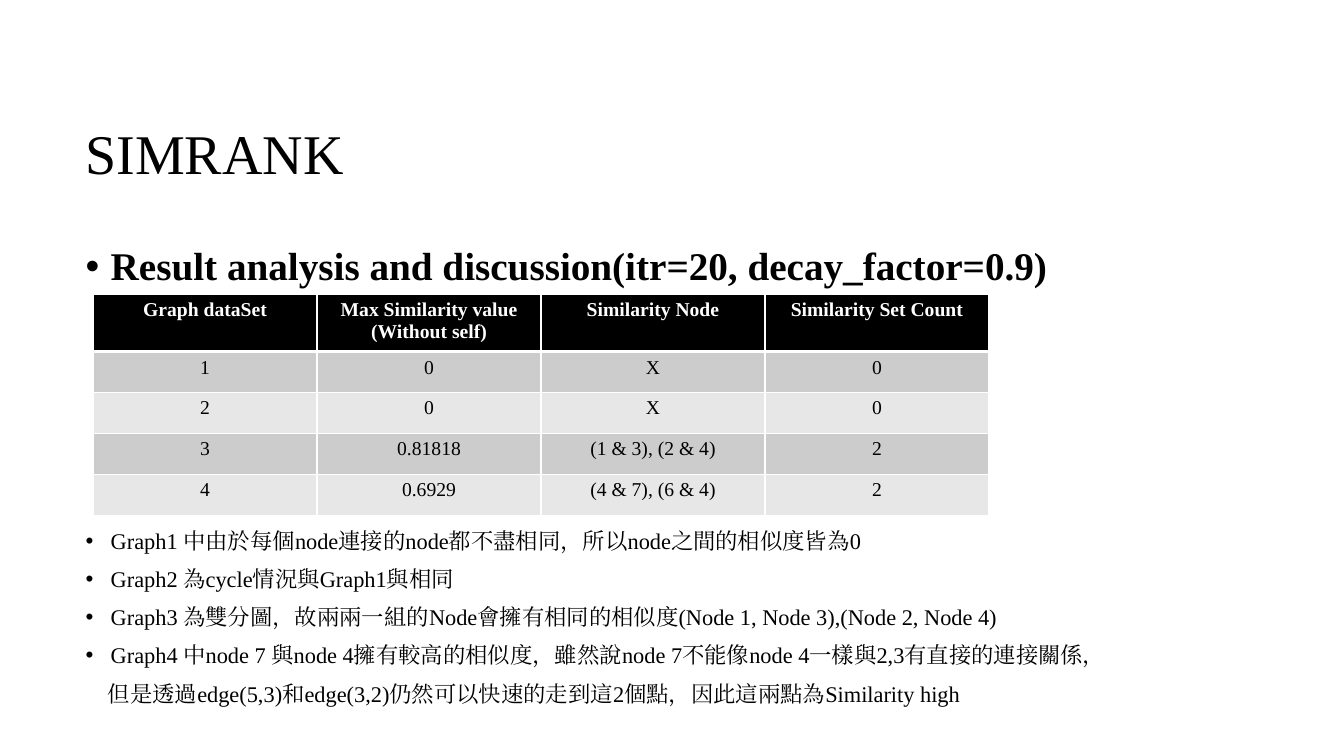
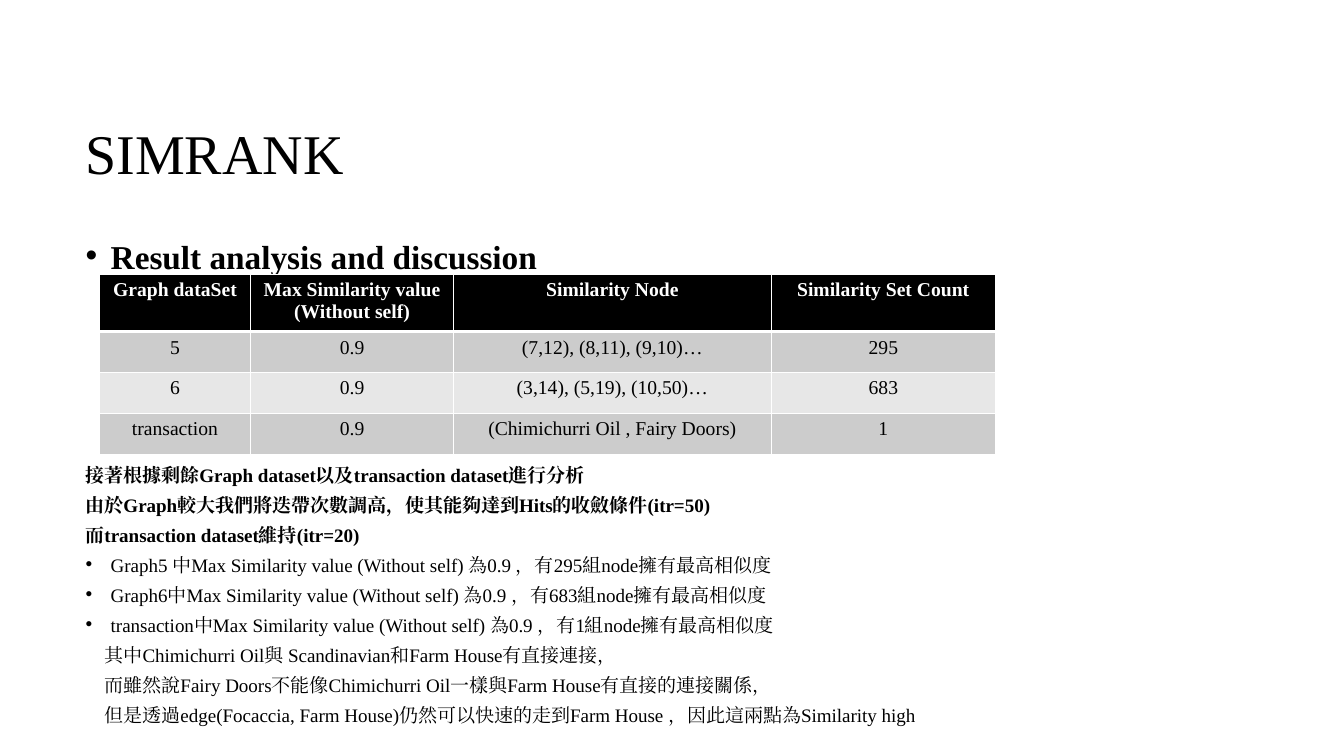
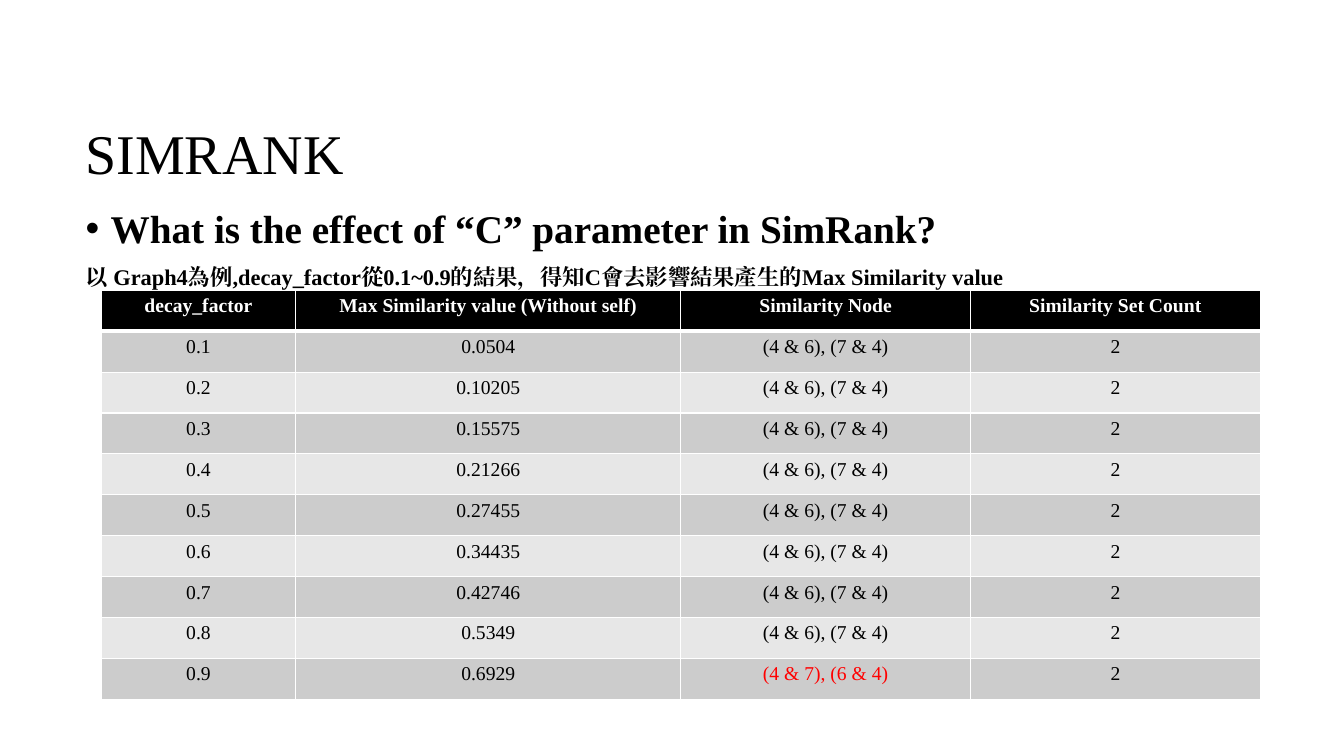
from lxml import etree
from pptx import Presentation
from pptx.dml.color import RGBColor
from pptx.enum.text import MSO_ANCHOR, PP_ALIGN
from pptx.oxml.ns import qn
from pptx.util import Pt

MIDDLE, CENTER = MSO_ANCHOR.MIDDLE, PP_ALIGN.CENTER
FONT = "Times New Roman"
BLACK, WHITE, RED = "000000", "FFFFFF", "FF0000"
BANDS = ("CCCCCC", "E7E7E7")
LEFT, WIDTH = 54, 852
TITLE_BOX = (LEFT, 61.2, WIDTH, 101.5)
ROW_H, HANG, SPACE = 29.2, 18, 10
MAX_LABEL = "Max Similarity value (Without self)"
HEADERS = ("Graph dataSet", MAX_LABEL, "Similarity Node", "Similarity Set Count")
PAIRS = "(4 & 6), (7 & 4)"
C_VALUES = ("0.0504", "0.10205", "0.15575", "0.21266", "0.27455",
            "0.34435", "0.42746", "0.5349")

SLIDES = [
    {
        "body": (LEFT, 172.8, WIDTH, 346.3), "spacing": 0.9, "gap": 172,
        "heading": ("Result analysis and discussion(itr=20, decay_factor=0.9)", 28),
        "size": 16,
        "notes": [
            ("bullet", "Graph1 中由於每個node連接的node都不盡相同，所以node之間的相似度皆為0"),
            ("bullet", "Graph2 為cycle情況與Graph1與相同"),
            ("bullet", "Graph3 為雙分圖，故兩兩一組的Node會擁有相同的相似度(Node 1, Node 3),(Node 2, Node 4)"),
            ("bullet", "Graph4 中node 7 與node 4擁有較高的相似度，雖然說node 7不能像node 4一樣與2,3有直接的連接關係，"),
            ("indent", "但是透過edge(5,3)和edge(3,2)仍然可以快速的走到這2個點，因此這兩點為Similarity high"),
        ],
        "table": (66.5, 210.3), "cols": (160, 160, 160, 160),
        "rows": [
            HEADERS,
            ("1", "0", "X", "0"),
            ("2", "0", "X", "0"),
            ("3", "0.81818", "(1 & 3), (2 & 4)", "2"),
            ("4", "0.6929", "(4 & 7), (6 & 4)", "2"),
        ],
    },
    {
        "body": (LEFT, 172.8, WIDTH, 361.4), "spacing": 0.7, "gap": 139,
        "heading": ("Result analysis and discussion", 23.8),
        "size": 13.6,
        "notes": [
            ("bold", "接著根據剩餘Graph dataset以及transaction dataset進行分析"),
            ("bold", "由於Graph較大我們將迭帶次數調高，使其能夠達到Hits的收斂條件(itr=50)"),
            ("bold", "而transaction dataset維持(itr=20)"),
            ("bullet", "Graph5 中Max Similarity value (Without self) 為0.9 ，有295組node擁有最高相似度"),
            ("bullet", "Graph6中Max Similarity value (Without self) 為0.9 ，有683組node擁有最高相似度"),
            ("bullet", "transaction中Max Similarity value (Without self) 為0.9 ，有1組node擁有最高相似度"),
            ("indent", "其中Chimichurri Oil與 Scandinavian和Farm House有直接連接，"),
            ("indent", "而雖然說Fairy Doors不能像Chimichurri Oil一樣與Farm House有直接的連接關係，"),
            ("indent", "但是透過edge(Focaccia, Farm House)仍然可以快速的走到Farm House ，因此這兩點為Similarity high"),
        ],
        "table": (71, 196), "cols": (108, 145, 227, 160),
        "rows": [
            HEADERS,
            ("5", "0.9", "(7,12), (8,11), (9,10)…", "295"),
            ("6", "0.9", "(3,14), (5,19), (10,50)…", "683"),
            ("transaction", "0.9", "(Chimichurri Oil , Fairy Doors)", "1"),
        ],
    },
    {
        "body": (LEFT, 146.2, WIDTH, 346.3), "spacing": 0.9, "gap": SPACE,
        "heading": ("What is the effect of “C” parameter in SimRank?", 28),
        "size": 16,
        "notes": [
            ("bold", "以 Graph4為例,decay_factor從0.1~0.9的結果，得知C會去影響結果產生的Max Similarity value"),
        ],
        "table": (72.3, 207.4), "cols": (139, 275, 207, 207),
        "rows": [
            ("decay_factor",) + HEADERS[1:],
            *((f"0.{i}", value, PAIRS, "2") for i, value in enumerate(C_VALUES, 1)),
            ("0.9", "0.6929", "(4 & 7), (6 & 4)", "2"),
        ],
        "marked": (9, 2),
    },
]


def rgb(value):
    """Turn a hex string into a colour."""
    return RGBColor.from_string(value)


def add_run(p, text, size, color=BLACK, bold=False):
    """Add formatted text to a paragraph."""
    r = p.add_run()
    r.text = text
    for name, value in {"name": FONT, "size": Pt(size), "bold": bold}.items():
        setattr(r.font, name, value)
    r.font.color.rgb = rgb(color)
    etree.SubElement(r._r.get_or_add_rPr(), qn("a:ea"), typeface=FONT)


def add_text_frame(s, box):
    """Add a wrapping text box and return its frame."""
    tf = s.shapes.add_textbox(*map(Pt, box)).text_frame
    tf.word_wrap = True
    return tf


def add_title(s, box):
    """Place the shared slide title."""
    tf = add_text_frame(s, box)
    tf.vertical_anchor = MIDDLE
    p = tf.paragraphs[0]
    p.line_spacing = 0.9
    add_run(p, "SIMRANK", 40)


def set_indent(p, left, bullet):
    """Indent a paragraph, hanging it on a bullet if asked."""
    pPr = p._p.get_or_add_pPr()
    pPr.set("marL", str(Pt(left)))
    pPr.set("indent", str(Pt(-left if bullet else 0)))
    if bullet:
        etree.SubElement(pPr, qn("a:buFont"), typeface="Arial")
        etree.SubElement(pPr, qn("a:buChar"), char="•")


def add_body(s, box, data):
    """Place the heading and, below the gap, the notes."""
    tf = add_text_frame(s, box)
    heading, heading_size = data["heading"]
    size = data["size"]
    items = [("heading", heading)] + data["notes"]
    for i, (kind, text) in enumerate(items):
        p = tf.add_paragraph() if i else tf.paragraphs[0]
        p.line_spacing = data["spacing"]
        p.space_before = Pt(data["gap"] if i == 1 else SPACE)
        bullet = kind in ("heading", "bullet")
        set_indent(p, HANG if bullet else size if kind == "indent" else 0, bullet)
        add_run(p, text, size if i else heading_size, bold=kind in ("heading", "bold"))


def set_borders(cell, top, bottom):
    """Draw white cell borders, with the given top and bottom widths."""
    tcPr = cell._tc.get_or_add_tcPr()
    for side, width in {"L": 1, "R": 1, "T": top, "B": bottom}.items():
        ln = etree.SubElement(tcPr, qn(f"a:ln{side}"), w=str(Pt(width)))
        fill = etree.SubElement(ln, qn("a:solidFill"))
        etree.SubElement(fill, qn("a:srgbClr"), val=WHITE)


def add_data_table(s, origin, cols, rows, marked=None):
    """Place a banded table with a black header row."""
    size = (sum(cols), ROW_H * len(rows))
    table = s.shapes.add_table(len(rows), len(cols), *map(Pt, origin + size)).table
    for column, width in zip(table.columns, cols):
        column.width = Pt(width)
    for i, row in enumerate(rows):
        table.rows[i].height = Pt(ROW_H)
        for j, text in enumerate(row):
            cell = table.cell(i, j)
            set_borders(cell, 3 if i == 1 else 1, 1 if i else 3)
            cell.fill.solid()
            cell.fill.fore_color.rgb = rgb(BANDS[(i - 1) % 2] if i else BLACK)
            p = cell.text_frame.paragraphs[0]
            p.alignment = CENTER
            color = RED if (i, j) == marked else BLACK if i else WHITE
            add_run(p, text, 14, color, bold=i == 0)


def main():
    """Build and save the presentation."""
    prs = Presentation()
    prs.slide_width, prs.slide_height = Pt(960), Pt(540)
    for data in SLIDES:
        s = prs.slides.add_slide(prs.slide_layouts[6])
        add_title(s, TITLE_BOX)
        add_body(s, data["body"], data)
        add_data_table(s, data["table"], data["cols"], data["rows"], data.get("marked"))
    prs.save("out.pptx")


if __name__ == "__main__":
    main()
